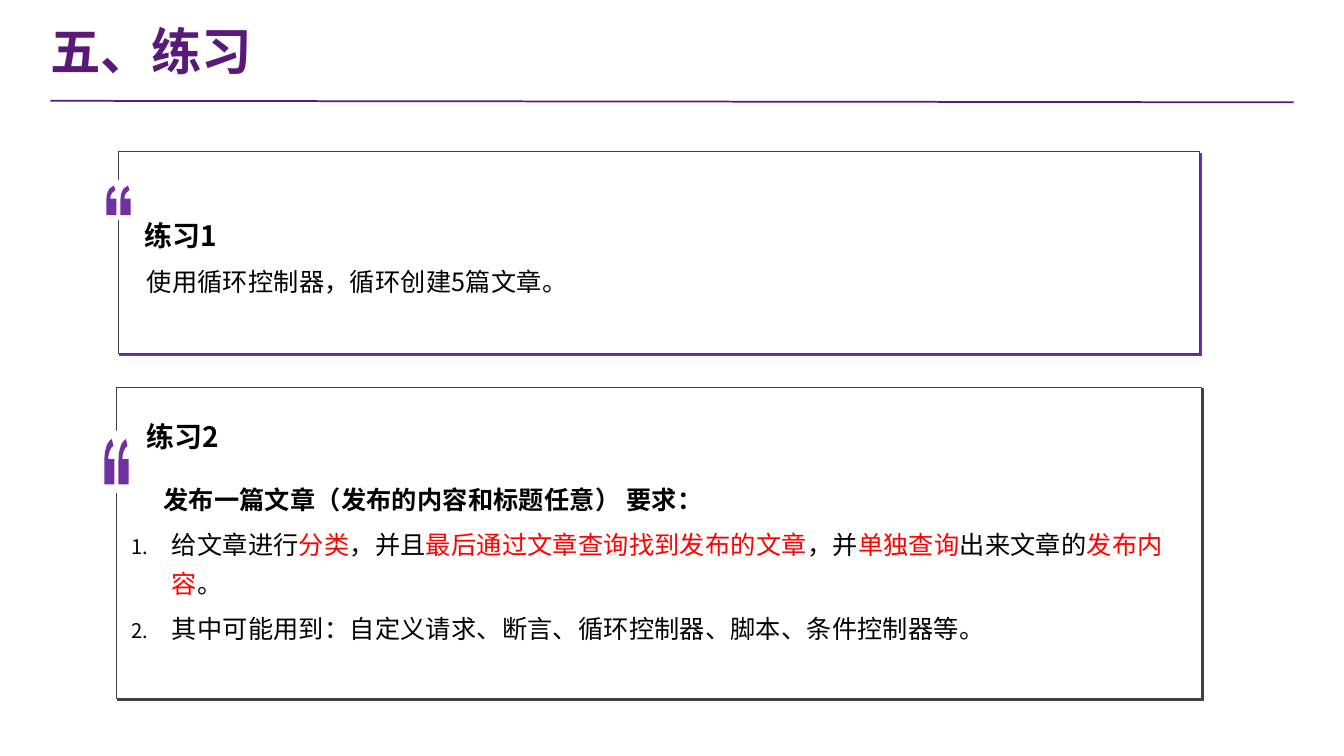
from pptx import Presentation
from pptx.dml.color import RGBColor
from pptx.enum.shapes import MSO_CONNECTOR, MSO_SHAPE
from pptx.enum.text import MSO_ANCHOR, MSO_AUTO_SIZE, PP_ALIGN
from pptx.oxml import parse_xml
from pptx.oxml.ns import nsdecls, qn
from pptx.util import Inches, Pt

RECTANGLE = MSO_SHAPE.RECTANGLE
STRAIGHT = MSO_CONNECTOR.STRAIGHT
MIDDLE = MSO_ANCHOR.MIDDLE
NO_AUTOFIT = MSO_AUTO_SIZE.NONE
LEFT = PP_ALIGN.LEFT

TITLE_PURPLE = RGBColor(0x59, 0x19, 0x79)
PURPLE = RGBColor(0x70, 0x30, 0xA0)
DARK_GRAY = RGBColor(0x40, 0x40, 0x40)
WHITE = RGBColor(0xFF, 0xFF, 0xFF)
BLACK = RGBColor(0, 0, 0)
RED = RGBColor(0xFF, 0, 0)

TITLE_FONT = "Arial"
BODY_FONT = "Noto Sans CJK SC"

# One quotation mark inside a 0.49 x 0.9 frame: a line has one point, a curve three
MARK_FRAME = (0.49, 0.9)
MARK_STEP = 0.28
MARK_START = (0.2, 0.9)
MARK_SEGMENTS = [
    [(0, 0.9)],
    [(0, 0.59)],
    [(0, 0.46), (0, 0.36), (0.01, 0.28)],
    [(0.02, 0.21), (0.04, 0.16), (0.06, 0.1)],
    [(0.09, 0.04), (0.11, 0.03), (0.15, 0)],
    [(0.18, 0.14)],
    [(0.15, 0.16), (0.13, 0.17), (0.11, 0.23)],
    [(0.08, 0.29), (0.08, 0.35), (0.08, 0.4)],
    [(0.2, 0.4)],
]


def add_quote(group, left, top, width, height):
    def place(point, shift):
        return (Inches(left + (point[0] + shift) * width / MARK_FRAME[0]),
                Inches(top + point[1] * height / MARK_FRAME[1]))

    shifts = (MARK_STEP, 0)
    builder = group.shapes.build_freeform(*place(MARK_START, shifts[0]), scale=1.0)
    for shift in shifts:
        if shift != shifts[0]:
            builder.move_to(*place(MARK_START, shift))
        builder.add_line_segments([place(s[-1], shift) for s in MARK_SEGMENTS], close=True)
    quote = builder.convert_to_shape()

    # Bend the segments that have control points
    lines = list(quote._element.iter(qn("a:lnTo")))
    segments = [(segment, shift) for shift in shifts for segment in MARK_SEGMENTS]
    for line, (segment, shift) in zip(lines, segments):
        if len(segment) == 3:
            points = [place(point, shift) for point in segment]
            pts = "".join(f'<a:pt x="{x - Inches(left)}" y="{y - Inches(top)}"/>'
                          for x, y in points)
            curve = parse_xml(f'<a:cubicBezTo {nsdecls("a")}>{pts}</a:cubicBezTo>')
            line.getparent().replace(line, curve)

    quote.shadow.inherit = False
    quote.fill.solid()
    quote.fill.fore_color.rgb = PURPLE
    quote.line.fill.background()


def add_white_box(group, area):
    box = group.shapes.add_shape(RECTANGLE, *map(Inches, area))
    box.shadow.inherit = False
    box.fill.solid()
    box.fill.fore_color.rgb = WHITE
    box.line.fill.background()
    return box


def add_card(slide, frame_area, gap_area, quote_area, shadow_color):
    """Framed card whose left edge is interrupted by a quotation mark."""
    group = slide.shapes.add_group_shape()
    frame = add_white_box(group, frame_area)
    frame.line.color.rgb = DARK_GRAY
    frame.line.width = Pt(1.75)
    effects = frame._element.spPr.find(qn("a:effectLst"))
    effects.append(parse_xml(
        f'<a:outerShdw {nsdecls("a")} blurRad="0" dist="{Pt(3)}" dir="2700000" '
        f'algn="tl" rotWithShape="0"><a:srgbClr val="{shadow_color}"/></a:outerShdw>'))
    add_white_box(group, gap_area)
    add_quote(group, *quote_area)


def add_run(paragraph, text, size, color, font, bold, spacing=None):
    run = paragraph.add_run()
    run.text = text
    run.font.size = Pt(size)
    run.font.bold = bold
    run.font.color.rgb = color
    run.font.name = font
    properties = run._r.get_or_add_rPr()
    properties.find(qn("a:latin")).addnext(
        parse_xml(f'<a:ea {nsdecls("a")} typeface="{BODY_FONT}"/>'))
    if spacing:
        properties.set("spc", str(spacing))


def add_paragraph(frame, runs, size=36, bold=False, before=8, indent=0.0, numbered=False):
    first = not frame.paragraphs[0].runs
    paragraph = frame.paragraphs[0] if first else frame.add_paragraph()
    paragraph.alignment = LEFT
    paragraph.line_spacing = 1.3
    paragraph.space_before = Pt(0 if first else before)
    properties = paragraph._p.get_or_add_pPr()
    properties.set("marL", str(Inches(indent)))
    if numbered:
        properties.set("indent", str(Inches(-0.81)))
        for bullet in ('buSzPct {} val="80000"', 'buAutoNum {} type="arabicPeriod"'):
            properties.append(parse_xml(f'<a:{bullet.format(nsdecls("a"))}/>'))
    for text, color in runs:
        add_run(paragraph, text, size, color, BODY_FONT, bold, spacing=30)


def add_text_area(slide, area, margin_top, margin_bottom):
    frame = slide.shapes.add_textbox(*map(Inches, area)).text_frame
    frame.word_wrap = True
    frame.auto_size = NO_AUTOFIT
    frame.vertical_anchor = MIDDLE
    frame.margin_left = frame.margin_right = Inches(0.08)
    frame.margin_top = Inches(margin_top)
    frame.margin_bottom = Inches(margin_bottom)
    return frame


def add_title(slide, text):
    title = slide.shapes.title
    title.left, title.top, title.width, title.height = map(Inches, (1, 0.33, 19.05, 1.33))
    frame = title.text_frame
    frame.margin_left = frame.margin_right = frame.margin_top = frame.margin_bottom = 0
    frame.vertical_anchor = MIDDLE
    frame.auto_size = NO_AUTOFIT
    frame.paragraphs[0].alignment = LEFT
    add_run(frame.paragraphs[0], text, 72, TITLE_PURPLE, TITLE_FONT, True)


def add_title_rule(slide):
    rule = slide.shapes.add_connector(STRAIGHT, *map(Inches, (1, 2, 25.67, 2.03)))
    rule.line.color.rgb = TITLE_PURPLE
    rule.line.width = Pt(2.5)
    rule._element.spPr.append(parse_xml(f'<a:effectLst {nsdecls("a")}/>'))


def main():
    presentation = Presentation()
    presentation.slide_width = Inches(26.67)
    presentation.slide_height = Inches(15)
    slide = presentation.slides.add_slide(presentation.slide_layouts[5])

    # Heading
    add_title(slide, "五、练习")
    add_title_rule(slide)

    # Exercise 1
    add_card(slide, (2.35, 3.01, 21.46, 4.01), (2.34, 3.57, 0.26, 0.8),
             (2.11, 3.68, 0.49, 0.59), PURPLE)
    exercise_1 = add_text_area(slide, (2.78, 3.17, 20.69, 3.67), 0.04, 0.04)
    add_paragraph(exercise_1, [("练习1", BLACK)], size=40, bold=True)
    add_paragraph(exercise_1, [("使用循环控制器，循环创建5篇文章。", BLACK)], indent=0.05)

    # Exercise 2
    add_card(slide, (2.31, 7.69, 21.54, 6.17), (2.3, 8.55, 0.27, 1.23),
             (2.07, 8.71, 0.49, 0.9), DARK_GRAY)
    exercise_2 = add_text_area(slide, (2.47, 7.83, 21.12, 5.84), 0.08, 0.68)
    add_paragraph(exercise_2, [("练习2", BLACK)], size=40, bold=True, indent=0.35)
    add_paragraph(exercise_2, [("发布一篇文章（发布的内容和标题任意） 要求：", BLACK)],
                  bold=True, before=32, indent=0.69)
    add_paragraph(exercise_2, [
        ("给文章进行", BLACK), ("分类", RED), ("，并且", BLACK),
        ("最后通过文章查询找到发布的文章", RED), ("，并", BLACK), ("单独查询", RED),
        ("出来文章的", BLACK), ("发布内容", RED), ("。", BLACK),
    ], indent=0.86, numbered=True)
    add_paragraph(exercise_2, [
        ("其中可能用到：自定义请求、断言、循环控制器、脚本、条件控制器等。", BLACK),
    ], indent=0.86, numbered=True)

    presentation.save("out.pptx")


if __name__ == "__main__":
    main()
